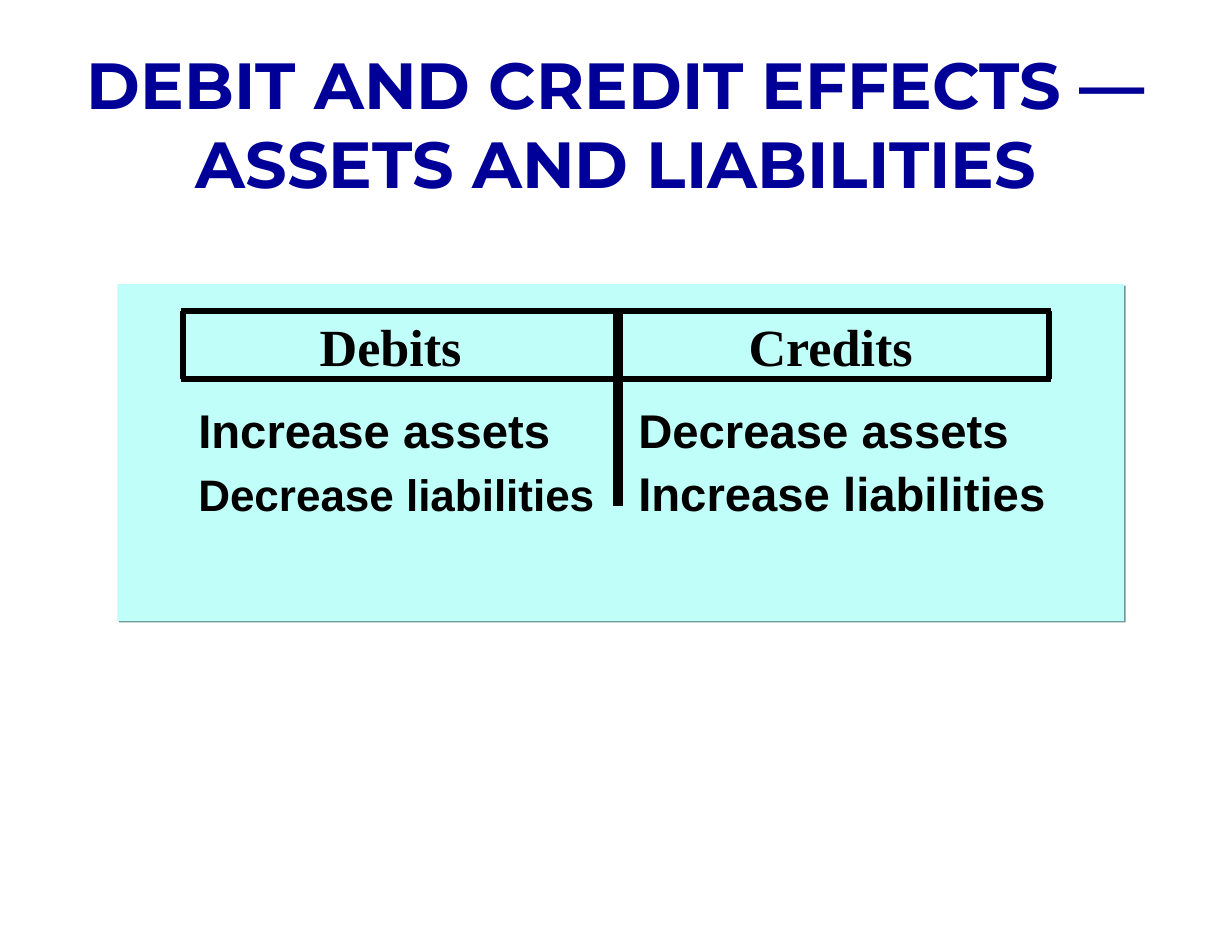
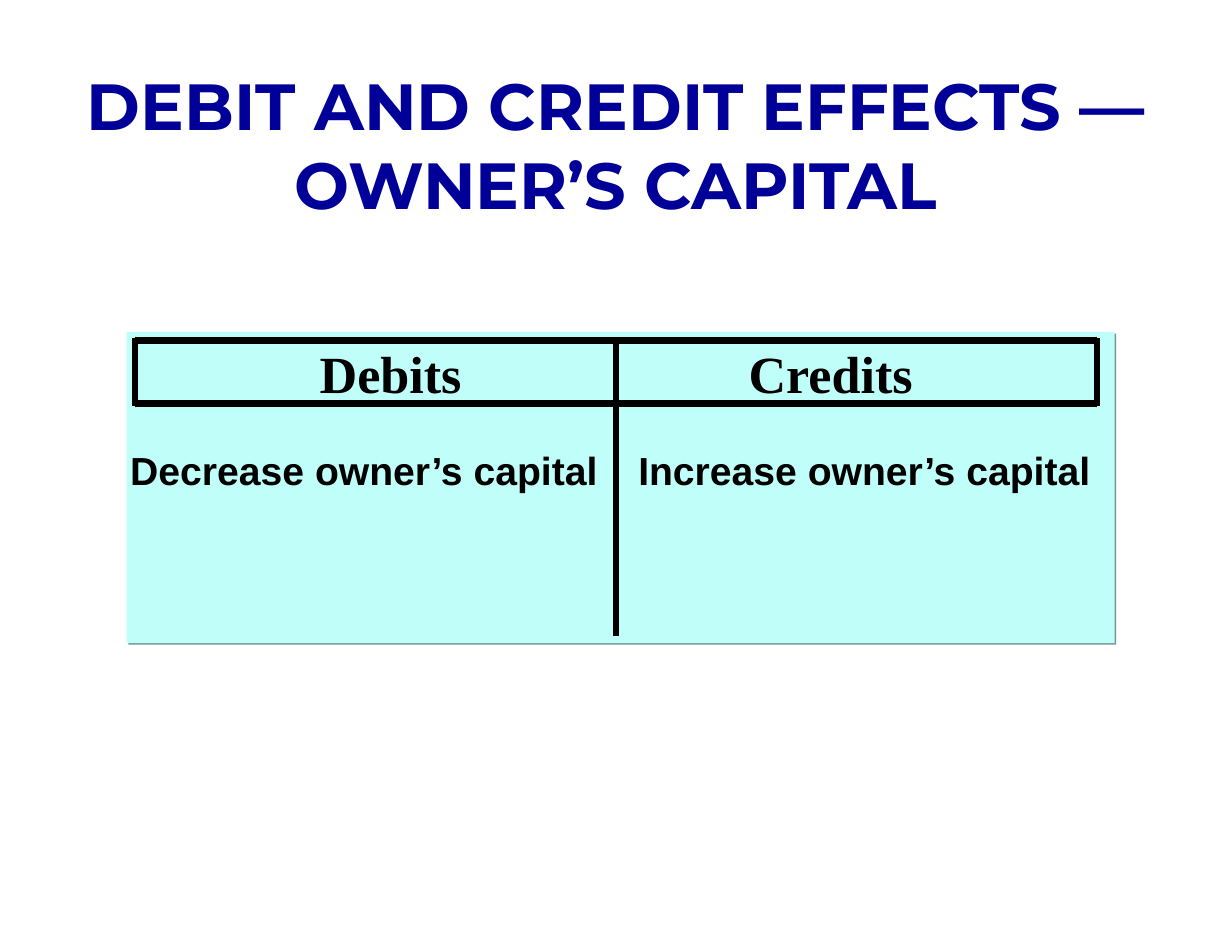
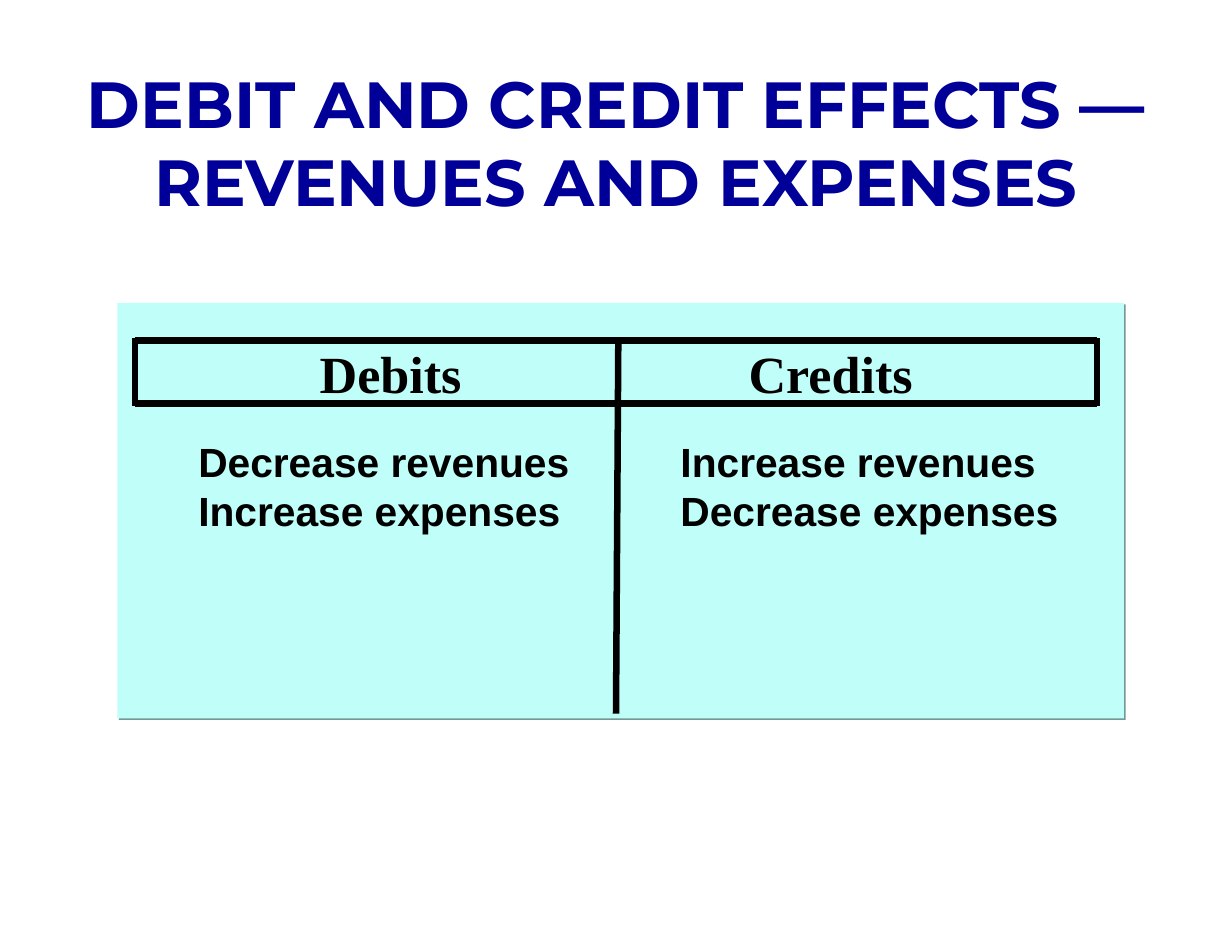
from lxml.etree import SubElement
from pptx import Presentation
from pptx.dml.color import RGBColor
from pptx.enum.shapes import MSO_CONNECTOR, MSO_SHAPE
from pptx.enum.text import MSO_ANCHOR, MSO_AUTO_SIZE, PP_ALIGN
from pptx.oxml.ns import qn
from pptx.util import Inches, Pt

# Shared style
NAVY, BLACK, PANEL, SHADOW = "000099", "000000", "C0FEF9", "739895"
TITLE_FONT, HEADING_FONT, BODY_FONT = "Montserrat", "Times New Roman", "Arial"
TITLE_START = "DEBIT AND CREDIT EFFECTS — "
HEADINGS = (("Debits", 2.59, 1.48), ("Credits", 6.27, 1.62))
BODY_INSET = 0.11


def color(hex_value):
    return RGBColor.from_string(hex_value)


def format_font(font, name, size, hex_value):
    font.name = name
    font.size = Pt(size)
    font.bold = True
    font.color.rgb = color(hex_value)


def add_title(slide, ending, top):
    title = slide.shapes.title
    title.left, title.top = Inches(0), Inches(top)
    title.width, title.height = Inches(10.5), Inches(1.43)
    text_frame = title.text_frame
    text_frame.text = TITLE_START + ending
    text_frame.auto_size = MSO_AUTO_SIZE.NONE
    text_frame.vertical_anchor = MSO_ANCHOR.TOP
    paragraph = text_frame.paragraphs[0]
    paragraph.alignment = PP_ALIGN.CENTER
    format_font(paragraph.runs[0].font, TITLE_FONT, 40, NAVY)


def add_panel(slide, left, top, width, height):
    panel = slide.shapes.add_shape(
        MSO_SHAPE.RECTANGLE, Inches(left), Inches(top), Inches(width), Inches(height))
    panel.fill.solid()
    panel.fill.fore_color.rgb = color(PANEL)
    panel.line.fill.background()
    # Hard shadow down to the right
    panel.shadow.inherit = False
    effects = panel._element.spPr.find(qn("a:effectLst"))
    shadow = SubElement(effects, qn("a:outerShdw"), dist=str(Pt(1.4)),
                        dir="2700000", algn="ctr", rotWithShape="0")
    SubElement(shadow, qn("a:srgbClr"), val=SHADOW)


def add_line(slide, start, end, weight=4):
    line = slide.shapes.add_connector(
        MSO_CONNECTOR.STRAIGHT, *(Inches(value) for value in (*start, *end)))
    line.line.color.rgb = color(BLACK)
    line.line.width = Pt(weight)
    SubElement(line._element.spPr, qn("a:effectLst"))


def add_header_frame(slide, left, top, right, bottom, overhang_x=0, overhang_y=0.02):
    for y in (top, bottom):
        add_line(slide, (left - overhang_x, y), (right + overhang_x, y))
    for x in (left, right):
        add_line(slide, (x, top - overhang_y), (x, bottom + overhang_y))


def add_text_box(slide, left, top, width, height):
    box = slide.shapes.add_textbox(
        Inches(left), Inches(top), Inches(width), Inches(height))
    box.text_frame.word_wrap = True
    return box.text_frame


def add_headings(slide, top):
    for text, left, width in HEADINGS:
        text_frame = add_text_box(slide, left, top, width, 0.63)
        text_frame.text = text
        paragraph = text_frame.paragraphs[0]
        paragraph.alignment = PP_ALIGN.CENTER
        format_font(paragraph.runs[0].font, HEADING_FONT, 32, BLACK)


def add_effects(slide, at, credit_left, rows, line_spacing=1.0, space_before=0):
    """Each row holds a debit and a credit effect as (text, size), parted by a tab."""
    text_frame = add_text_box(slide, *at)
    text_frame.margin_left = text_frame.margin_right = Inches(BODY_INSET)
    for index, row in enumerate(rows):
        paragraph = text_frame.paragraphs[0] if index == 0 else text_frame.add_paragraph()
        paragraph.line_spacing = line_spacing
        if index:
            paragraph.space_before = Pt(space_before)
        tabs = SubElement(paragraph._p.get_or_add_pPr(), qn("a:tabLst"))
        position = Inches(credit_left - at[0] - BODY_INSET)
        SubElement(tabs, qn("a:tab"), pos=str(position), algn="l")
        for prefix, (text, size) in zip(("", "\t"), row):
            run = paragraph.add_run()
            run.text = prefix + text
            format_font(run.font, BODY_FONT, size, BLACK)


def main():
    presentation = Presentation()
    presentation.slide_width, presentation.slide_height = Inches(10.5), Inches(8)
    title_only = presentation.slide_layouts[5]

    # Assets and liabilities
    slide = presentation.slides.add_slide(title_only)
    add_title(slide, "ASSETS AND LIABILITIES", 0.33)
    add_panel(slide, 1, 2.42, 8.58, 2.87)
    add_header_frame(slide, 1.56, 2.65, 8.94, 3.23, overhang_x=0.02, overhang_y=0)
    add_headings(slide, 2.63)
    add_effects(slide, (1.58, 3.42, 7.68, 1.58), 5.44, (
        (("Increase assets", 29), ("Decrease assets", 29)),
        (("Decrease liabilities", 27), ("Increase liabilities", 29)),
    ), line_spacing=0.9, space_before=7.3)
    add_line(slide, (5.27, 2.65), (5.27, 4.31), weight=6)

    # Owner's capital
    slide = presentation.slides.add_slide(title_only)
    add_title(slide, "OWNER’S CAPITAL", 0.51)
    add_panel(slide, 1.08, 2.83, 8.42, 2.65)
    add_headings(slide, 2.86)
    add_header_frame(slide, 1.15, 2.9, 9.35, 3.44)
    add_effects(slide, (1, 3.75, 8.98, 0.52), 5.44, (
        (("Decrease owner’s capital", 24), ("Increase owner’s capital", 24)),
    ))
    add_line(slide, (5.25, 2.92), (5.25, 5.42))

    # Revenues and expenses
    slide = presentation.slides.add_slide(title_only)
    add_title(slide, "REVENUES AND EXPENSES", 0.49)
    add_panel(slide, 1, 2.58, 8.58, 3.54)
    add_effects(slide, (1.58, 3.75, 8.48, 0.91), 5.8, (
        (("Decrease revenues", 25), ("Increase revenues", 25)),
        (("Increase expenses", 25), ("Decrease expenses", 25)),
    ), line_spacing=0.8, space_before=6.2)
    add_headings(slide, 2.86)
    add_header_frame(slide, 1.15, 2.9, 9.35, 3.44)
    add_line(slide, (5.27, 2.9), (5.25, 6.08))

    presentation.save("out.pptx")


if __name__ == "__main__":
    main()
